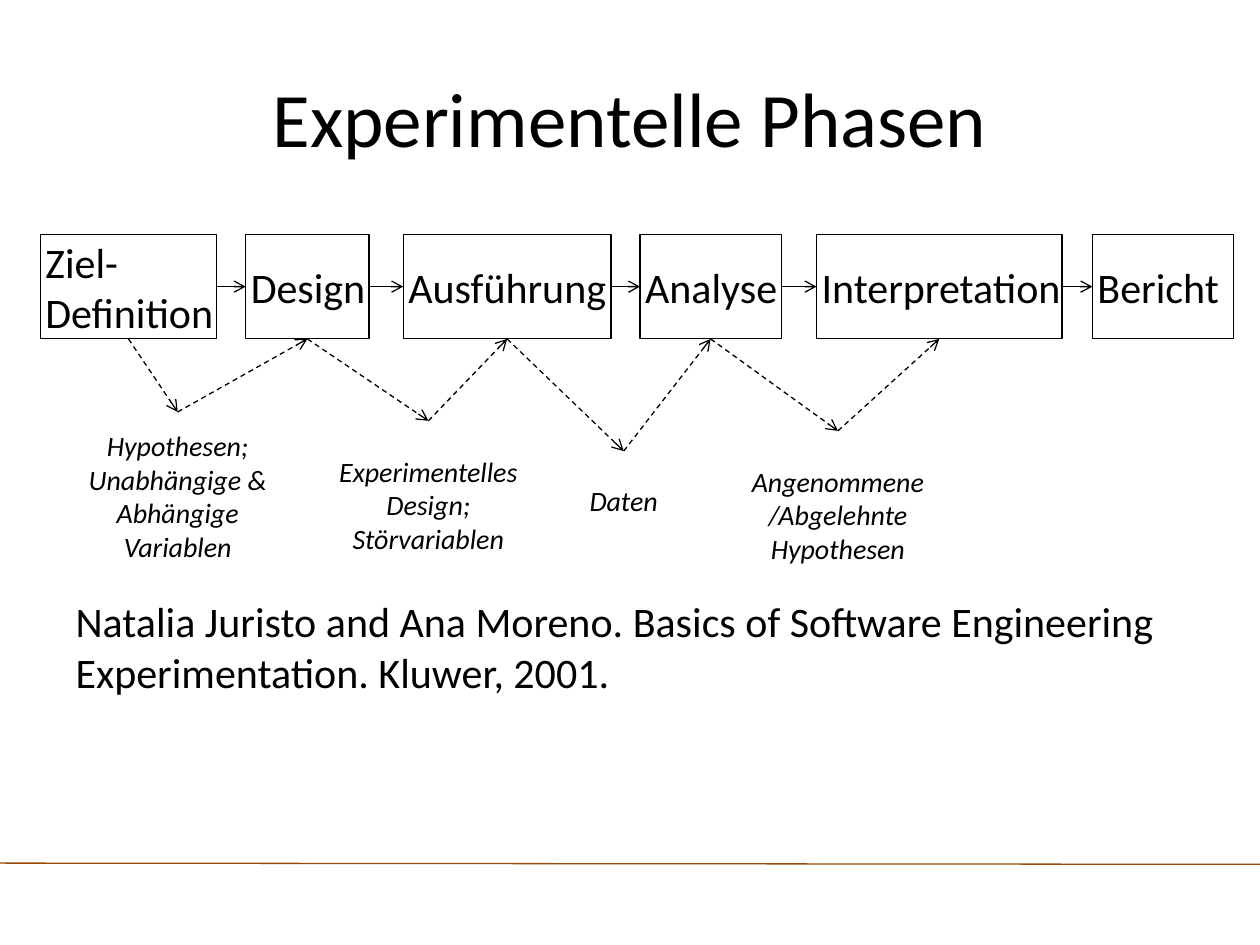
from dataclasses import dataclass
from itertools import pairwise

from lxml.etree import SubElement
from pptx import Presentation
from pptx.dml.color import RGBColor as RGB
from pptx.enum.dml import MSO_LINE as Dash
from pptx.enum.shapes import MSO_CONNECTOR as Link, MSO_SHAPE as Shape
from pptx.enum.text import MSO_ANCHOR as Anchor, MSO_AUTO_SIZE as Fit, PP_ALIGN as Align
from pptx.oxml.ns import qn
from pptx.util import Inches, Pt


@dataclass(frozen=True)
class Theme:
    """Colours, font and sizes of the slide."""
    ink: RGB = RGB(0, 0, 0)
    rule: RGB = RGB(0x98, 0x48, 0x07)
    font: str = "Calibri"
    head: int = 44
    body: int = 24
    note: int = 16
    line: float = 0.75


THEME = Theme()
TOP, LEFT, BOTTOM, RIGHT = range(4)
PHASES = [
    ("Ziel-Definition", 0.32, 1.4),
    ("Design", 1.95, 0.98),
    ("Ausführung", 3.2, 1.65),
    ("Analyse", 5.08, 1.12),
    ("Interpretation", 6.48, 1.95),
    ("Bericht", 8.67, 1.12),
]
NOTES = [
    ("Hypothesen; Unabhängige & Abhängige Variablen", 0.47, 3.27, 1.88, 1.33),
    ("Experimentelles Design;\nStörvariablen", 2.58, 3.34, 1.64, 1.33),
    ("Daten", 4.45, 3.58, 1, 0.78),
    ("Angenommene/Abgelehnte Hypothesen", 5.86, 3.42, 1.58, 1.33),
]


def write(shape, text, size=THEME.body, align=Align.LEFT, anchor=Anchor.MIDDLE,
          italic=False, inset=None):
    """Fill a shape with formatted text, one paragraph per line."""
    frame = shape.text_frame
    frame.text = text
    frame.word_wrap = True
    frame.auto_size = Fit.NONE
    frame.vertical_anchor = anchor
    if inset is not None:
        frame.margin_left = Inches(inset)
        frame.margin_top = frame.margin_right = frame.margin_bottom = 0
    for para in frame.paragraphs:
        props = para._p.get_or_add_pPr()
        props.set("marL", "0")
        props.set("indent", "0")
        SubElement(props, qn("a:buNone"))
        para.alignment = align
        para.space_before = Pt(0)
        for run in para.runs:
            font = run.font
            font.name, font.size, font.italic = THEME.font, Pt(size), italic
            font.color.rgb = THEME.ink


def place(shape, box):
    """Move a shape into a box given in inches."""
    shape.left, shape.top, shape.width, shape.height = map(Inches, box)


def rule(slide, start, end, color=THEME.ink):
    """Draw a thin line between two points given in inches."""
    line = slide.shapes.add_connector(Link.STRAIGHT, *map(Inches, (*start, *end)))
    line.line.color.rgb = color
    line.line.width = Pt(THEME.line)
    SubElement(line._element.spPr, qn("a:effectLst"))
    return line


def arrow(slide, source, out, target, into, dashed=False):
    """Join two shapes at their sites with an arrow."""
    line = rule(slide, (0, 0), (0, 0))
    line.begin_connect(source, out)
    line.end_connect(target, into)
    if dashed:
        line.line.dash_style = Dash.DASH
    SubElement(line.line._get_or_add_ln(), qn("a:tailEnd"), type="arrow")


def phase(slide, text, box):
    """Draw one outlined phase."""
    shape = slide.shapes.add_shape(Shape.RECTANGLE, *map(Inches, box))
    shape.shadow.inherit = False
    shape.fill.background()
    shape.line.color.rgb = THEME.ink
    shape.line.width = Pt(THEME.line)
    write(shape, text, inset=0.04)
    return shape


def note(slide, text, box):
    """Draw one result in italics."""
    shape = slide.shapes.add_textbox(*map(Inches, box))
    write(shape, text, size=THEME.note, align=Align.CENTER, italic=True)
    return shape


def flow(slide, top, height):
    """Draw the row of phases and the results passed between them."""
    steps = [phase(slide, text, (left, top, width, height))
             for text, left, width in PHASES]
    notes = [note(slide, text, box) for text, *box in NOTES]
    for prev, step in pairwise(steps):
        arrow(slide, prev, RIGHT, step, LEFT)
    for prev, item, step in zip(steps, notes, steps[1:]):
        arrow(slide, prev, BOTTOM, item, TOP, dashed=True)
        arrow(slide, item, TOP, step, BOTTOM, dashed=True)


def main():
    """Build and save the slide."""
    deck = Presentation()
    deck.slide_width, deck.slide_height = Inches(10), Inches(7.5)
    slide = deck.slides.add_slide(deck.slide_layouts[1])
    title, body = slide.placeholders
    rule(slide, (0, 6.85), (10, 6.86), THEME.rule)
    place(title, (0.5, 0.3, 9, 1.25))
    write(title, "Experimentelle Phasen", size=THEME.head, align=Align.CENTER)
    place(body, (0.5, 4.68, 9, 2.02))
    write(body, "Natalia Juristo and Ana Moreno. Basics of Software Engineering "
          "Experimentation. Kluwer, 2001.", anchor=Anchor.TOP)
    flow(slide, 1.86, 0.83)
    deck.save("out.pptx")


if __name__ == "__main__":
    main()
